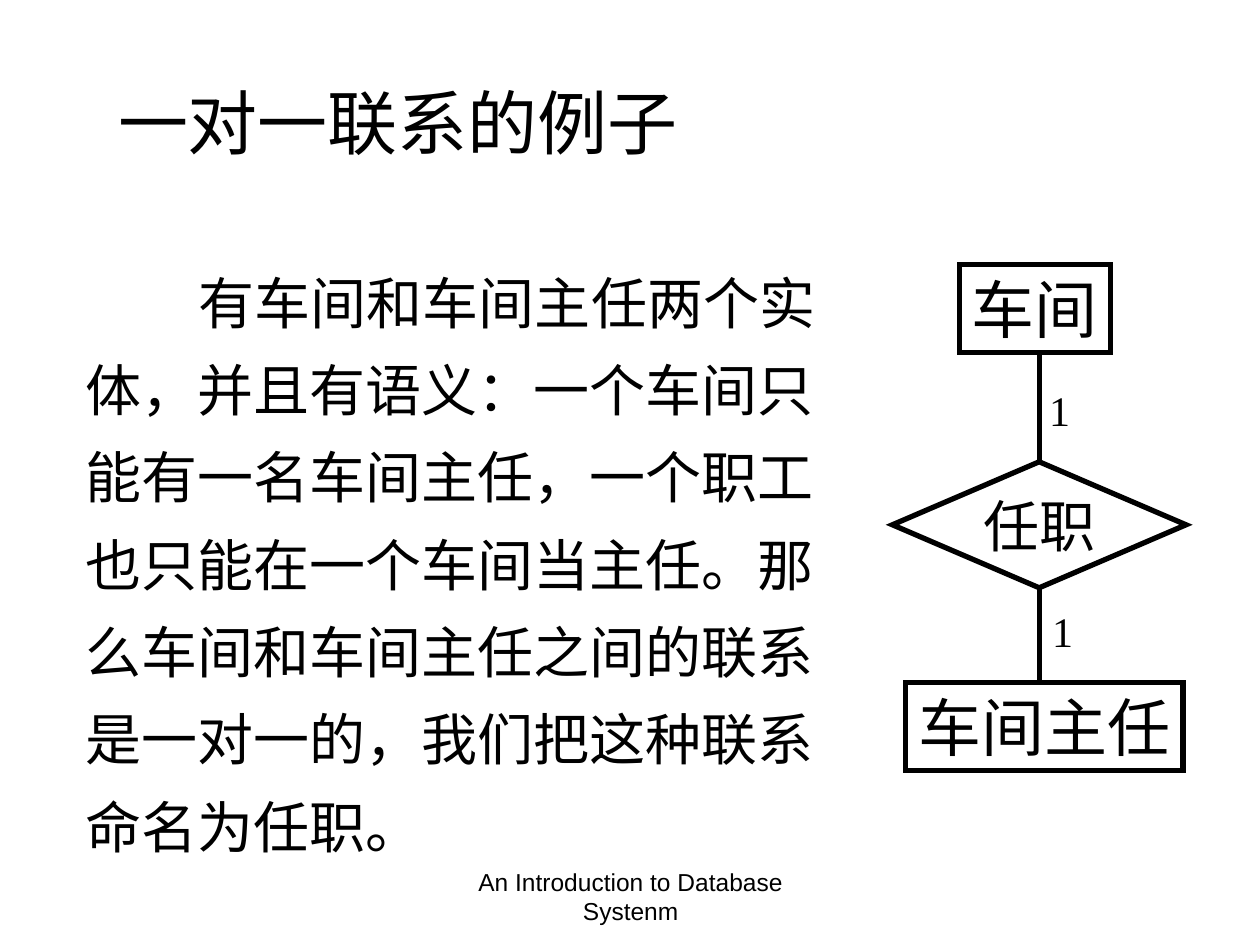
from pptx import Presentation, util as u
from pptx.dml.color import RGBColor
from pptx.enum import shapes, text
from pptx.oxml.ns import qn
from lxml import etree

Cm, Pt = u.Cm, u.Pt
THEME = {
    "ink": RGBColor(0, 0, 0),
    "line": Pt(3),
    "serif": "Times New Roman",
    "sans": "Arial",
    "title": 40,
    "entity": 36,
    "body": 32,
    "label": 24,
    "footer": 14,
}


def write(sp, words, size, font="serif", align="LEFT", anchor="TOP",
          wrap=False, spacing=None, indent=None, top=Cm(0.13)):
    """Fill a shape with one formatted paragraph; Chinese is set in sans."""
    tf = sp.text_frame
    tf.word_wrap = wrap
    tf.vertical_anchor = getattr(text.MSO_ANCHOR, anchor)
    tf.margin_top = top
    p = tf.paragraphs[0]
    p.alignment = getattr(text.PP_ALIGN, align)
    if spacing:
        p.line_spacing = spacing
    if indent:
        p._p.get_or_add_pPr().set("indent", str(indent))
    r = p.add_run()
    r.text = words
    r.font.size = Pt(THEME[size])
    r.font.name = THEME[font]
    r.font.color.rgb = THEME["ink"]
    etree.SubElement(r._r.rPr, qn("a:ea"), typeface=THEME["sans"])


prs = Presentation()
prs.slide_width, prs.slide_height = Cm(25.4), Cm(19.05)
s = prs.slides.add_slide(prs.slide_layouts[6])

body = ("有车间和车间主任两个实体，并且有语义：一个车间只能有一名车间主任，"
        "一个职工也只能在一个车间当主任。那么车间和车间主任之间的联系"
        "是一对一的，我们把这种联系命名为任职。")

# Text boxes: left, top, width, height, words, format
boxes = [
    (1.47, 4.65, 15.29, 12.8, body,
     dict(size="body", wrap=True, spacing=1.3, indent=Cm(2.29), top=Cm(0.35))),
    (2.13, 1.47, 11.79, 1.96, "一对一联系的例子", dict(size="title")),
    (20.9, 7.62, 0.91, 1.27, "1", dict(size="label")),
    (20.96, 12.07, 0.91, 1.27, "1", dict(size="label")),
    (8.69, 17.35, 8.05, 1.32, "An Introduction to Database Systenm",
     dict(size="footer", font="sans", align="CENTER", wrap=True)),
]
for x, y, w, h, words, style in boxes:
    write(s.shapes.add_textbox(Cm(x), Cm(y), Cm(w), Cm(h)), words, **style)

# Entities and their relationship
nodes = [
    ("RECTANGLE", 19.34, 5.33, 3.05, 1.78, "车间", dict(size="entity")),
    ("FLOWCHART_DECISION", 17.99, 9.31, 5.92, 2.54, "任职",
     dict(size="body", align="CENTER", anchor="MIDDLE")),
    ("RECTANGLE", 18.26, 13.76, 5.59, 1.78, "车间主任", dict(size="entity")),
]
for kind, x, y, w, h, words, style in nodes:
    sp = s.shapes.add_shape(getattr(shapes.MSO_SHAPE, kind),
                            Cm(x), Cm(y), Cm(w), Cm(h))
    sp.shadow.inherit = False
    sp.fill.background()
    sp.line.color.rgb = THEME["ink"]
    sp.line.width = THEME["line"]
    etree.SubElement(sp.line._get_or_add_ln(), qn("a:miter"), lim="800000")
    write(sp, words, **style)

# Links along the diagram's axis
axis = Cm(20.96)
for start, end in [(11.86, 13.77), (9.32, 7.15)]:
    link = s.shapes.add_connector(shapes.MSO_CONNECTOR.STRAIGHT,
                                  axis, Cm(start), axis, Cm(end))
    link.line.color.rgb = THEME["ink"]
    link.line.width = THEME["line"]
    etree.SubElement(link._element.spPr, qn("a:effectLst"))

prs.save("out.pptx")
